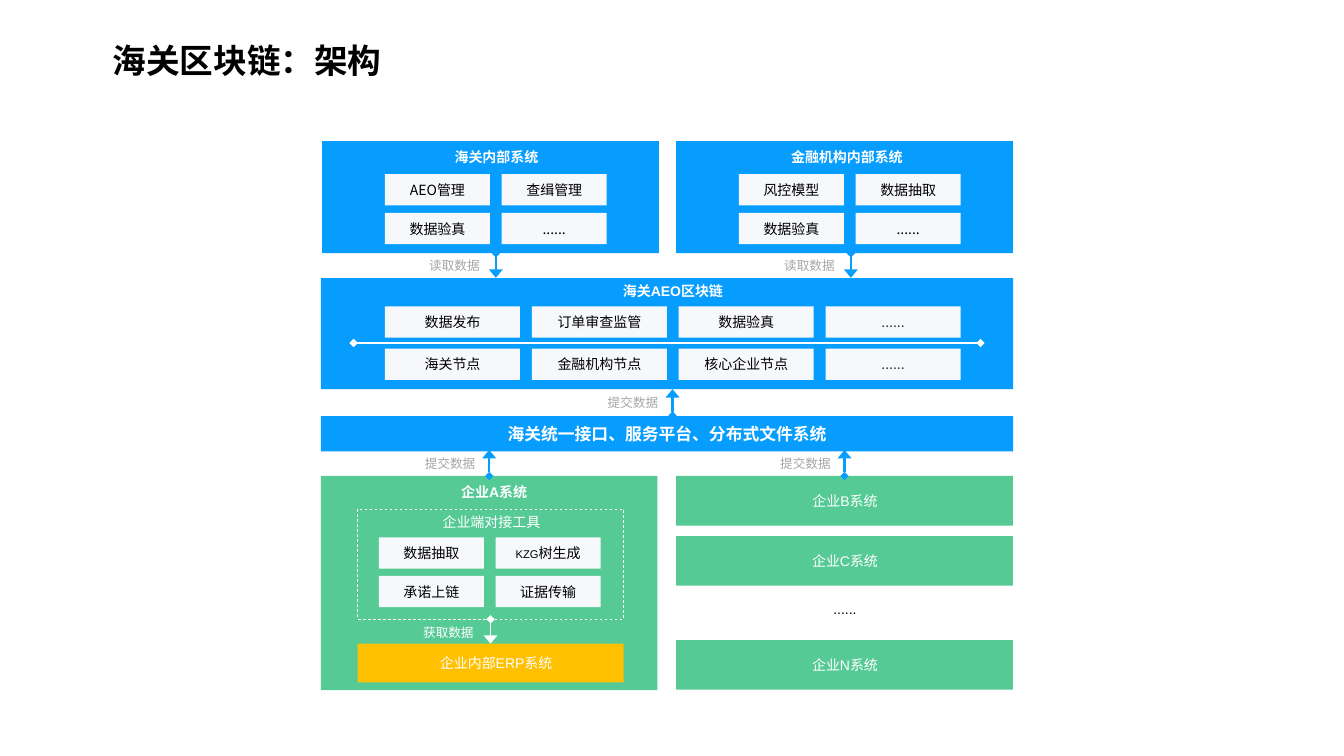
from dataclasses import dataclass
from pptx import Presentation
from pptx.dml.color import RGBColor
from pptx.enum.dml import MSO_LINE_DASH_STYLE as Dash
from pptx.enum.shapes import MSO_CONNECTOR as Link, MSO_SHAPE as Shape
from pptx.enum.text import MSO_ANCHOR as Anchor, PP_ALIGN as Align
from pptx.oxml.ns import qn
from pptx.util import Pt
from lxml.etree import SubElement


@dataclass(frozen=True)
class Theme:
    blue: str = "079DFF"
    green: str = "56CA95"
    gold: str = "FFC000"
    pale: str = "F6F8FC"
    white: str = "FFFFFF"
    black: str = "000000"
    dim: str = "3F4046"
    gray: str = "A6A6A6"
    title: int = 24
    band: int = 12
    body: int = 10
    note: int = 9
    small: int = 8
    sans: str = "Arial"
    noto: str = "Noto Sans CJK SC"


theme = Theme()
DOTS = "......"


def tint(code):
    return RGBColor.from_string(code)


def style(run, size, color, face, bold=False):
    font = run.font
    font.size = Pt(size)
    font.bold = bold
    font.color.rgb = tint(color)
    font.name = face
    SubElement(run._r.get_or_add_rPr(), qn("a:ea")).set("typeface", theme.noto)


def box(slide, x, y, w, h, fill=None):
    rect = slide.shapes.add_shape(Shape.RECTANGLE, Pt(x), Pt(y), Pt(w), Pt(h))
    rect.shadow.inherit = False
    if fill:
        rect.fill.solid()
        rect.fill.fore_color.rgb = tint(fill)
        rect.line.fill.background()
    else:
        rect.fill.background()
        rect.line.color.rgb = tint(theme.white)
        rect.line.width = Pt(0.5)
        rect.line.dash_style = Dash.DASH
    return rect


def label(slide, text, x, y, w, h, size=theme.body, color=theme.white,
          face=theme.sans, bold=False, align=Align.CENTER, wrap=True):
    frame = slide.shapes.add_textbox(Pt(x), Pt(y), Pt(w), Pt(h)).text_frame
    frame.word_wrap = wrap
    frame.text = text
    para = frame.paragraphs[0]
    para.alignment = align
    style(para.runs[0], size, color, face, bold)


def note(slide, text, x, y, color=theme.gray):
    label(slide, text, x, y, 50.4, 18, theme.note, color, theme.noto,
          align=Align.LEFT, wrap=False)


def cell(slide, text, x, y, w, color, face, lead=""):
    rect = box(slide, x, y, w, 22.4, theme.pale)
    frame = rect.text_frame
    frame.vertical_anchor = Anchor.MIDDLE
    frame.text = lead or text
    para = frame.paragraphs[0]
    para.alignment = Align.CENTER
    if lead:
        style(para.runs[0], theme.small, color, face)
        para.add_run().text = text
    style(para.runs[-1], theme.body, color, face)


def grid(slide, rows, x, y, w, down, face, dots=theme.black):
    for i, row in enumerate(rows):
        for j, name in enumerate(row):
            lead, _, text = name.rpartition("|")
            ink = dots if text == DOTS else theme.black
            kind = theme.noto if text == DOTS else face
            cell(slide, text, x + j * (w + 8.4), y + i * down, w, ink, kind, lead)


def line(slide, x1, y1, x2, y2, color, width, tip="triangle"):
    link = slide.shapes.add_connector(Link.STRAIGHT, Pt(x1), Pt(y1), Pt(x2), Pt(y2))
    link.line.color.rgb = tint(color)
    link.line.width = Pt(width)
    stroke = link.line._get_or_add_ln()
    SubElement(stroke, qn("a:headEnd")).set("type", "diamond")
    tail = SubElement(stroke, qn("a:tailEnd"))
    tail.set("type", tip)
    if tip == "triangle":
        tail.set("w", "lg")
    SubElement(link._element.spPr, qn("a:effectLst"))
    return link


def inner(slide, x, head, head_x, align, rows, face):
    box(slide, x, 100.8, 240.5, 80, theme.blue)
    label(slide, head, head_x, 102.4, 100, 19.4, bold=True, align=align)
    grid(slide, rows, x + 44.8, 124.4, 75, 27.6, face)


def chain(slide):
    box(slide, 229.2, 198.6, 494.6, 79.4, theme.blue)
    label(slide, "海关AEO区块链", 419.8, 198.6, 121.7, 19.4, bold=True)
    rows = [["数据发布", "订单审查监管", "数据验真", DOTS],
            ["海关节点", "金融机构节点", "核心企业节点", DOTS]]
    grid(slide, rows, 275, 218.8, 96.5, 30.2, theme.noto, theme.dim)
    line(slide, 252.6, 245, 700.4, 245, theme.white, 1, "diamond")
    box(slide, 229.2, 297.2, 494.6, 25.2, theme.blue)
    label(slide, "海关统一接口、服务平台、分布式文件系统", 321.8, 298.8, 309.6, 21.8,
          theme.band, bold=True)


def firm(slide):
    panel = box(slide, 229.2, 340, 240.5, 153, theme.green)
    label(slide, "企业A系统", 303, 342, 100, 19.4, bold=True)
    tools = box(slide, 255.4, 363.8, 190, 78.6)
    rows = [["数据抽取", "KZG|树生成"], ["承诺上链", "证据传输"]]
    grid(slide, rows, 270.6, 383.8, 75, 27.6, theme.sans)
    label(slide, "企业端对接工具", 301, 363.6, 100, 19.4)
    store = box(slide, 255.4, 459.8, 190, 27.6, theme.gold)
    label(slide, "企业内部ERP系统", 304.4, 464.2, 100, 19.4)
    fetch = line(slide, 350.4, 442.4, 350.4, 459.8, theme.white, 0.5)
    fetch.begin_connect(tools, 2)
    fetch.end_connect(store, 0)
    note(slide, "获取数据", 295.2, 442.8, theme.white)
    return panel


def peers(slide):
    rects = []
    for name, y in (("B", 340), ("C", 383), ("N", 457.2)):
        rects.append(box(slide, 483, y, 240.5, 35.4, theme.green))
        label(slide, f"企业{name}系统", 553.6, y + 8, 100, 19.4)
    label(slide, DOTS, 553.6, 425.6, 100, 19.4, color=theme.black)
    return rects[0]


def main():
    deck = Presentation()
    deck.slide_width, deck.slide_height = Pt(960), Pt(540)
    slide = deck.slides.add_slide(deck.slide_layouts[6])
    label(slide, "海关区块链：架构", 73.4, 25.2, 206.6, 36, theme.title, theme.black,
          theme.noto, True, Align.LEFT, False)
    inner(slide, 230.2, "海关内部系统", 304.6, Align.CENTER,
          [["AEO管理", "查缉管理"], ["数据验真", DOTS]], theme.noto)
    inner(slide, 483, "金融机构内部系统", 558, Align.LEFT,
          [["风控模型", "数据抽取"], ["数据验真", DOTS]], theme.sans)
    chain(slide)
    for x in (354.2, 607.8):
        line(slide, x, 181, x, 198.4, theme.blue, 1.5)
        note(slide, "读取数据", x - 54.7, 181)
    line(slide, 480.4, 296.8, 480.4, 278, theme.blue, 1.5)
    note(slide, "提交数据", 427, 278.6)
    for rect, x in ((firm(slide), 349.45), (peers(slide), 603.25)):
        send = line(slide, x, 340, x, 321.4, theme.blue, 1.5)
        send.begin_connect(rect, 0)
        note(slide, "提交数据", x - 53, 322)
    deck.save("out.pptx")


if __name__ == "__main__":
    main()
